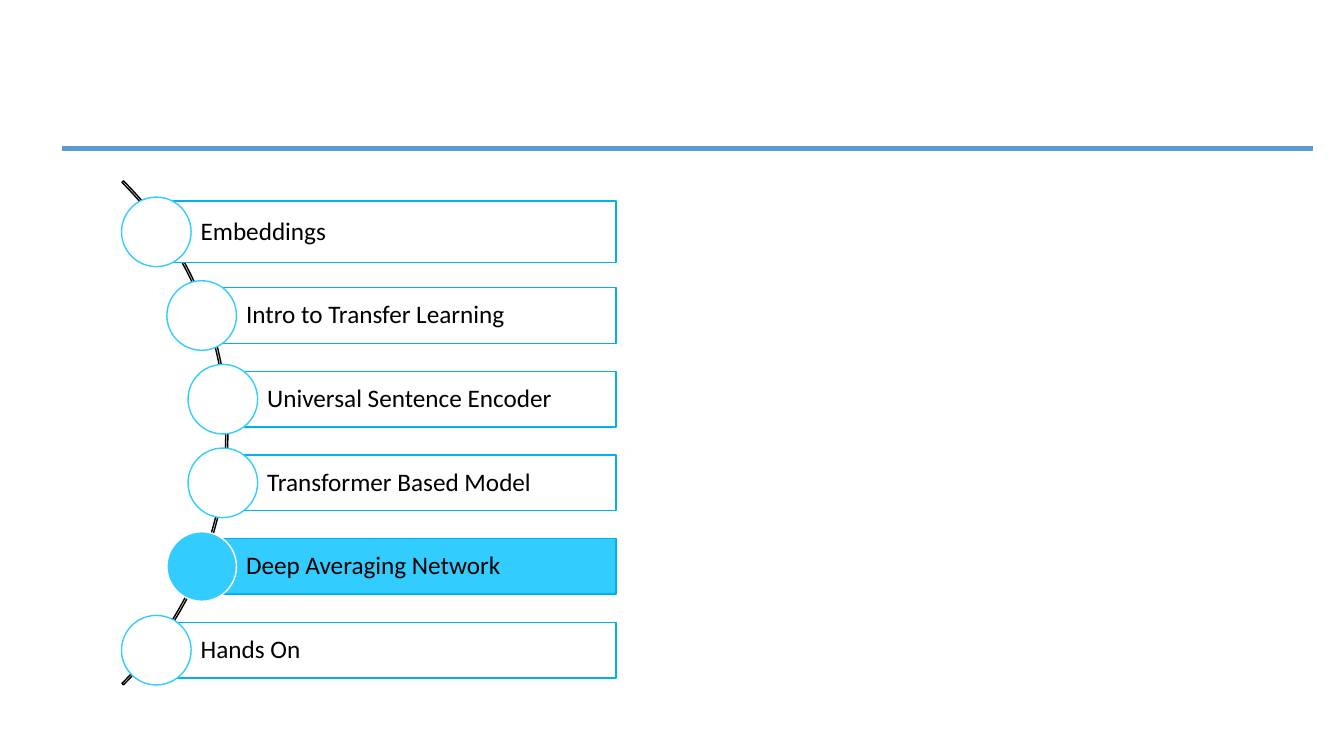
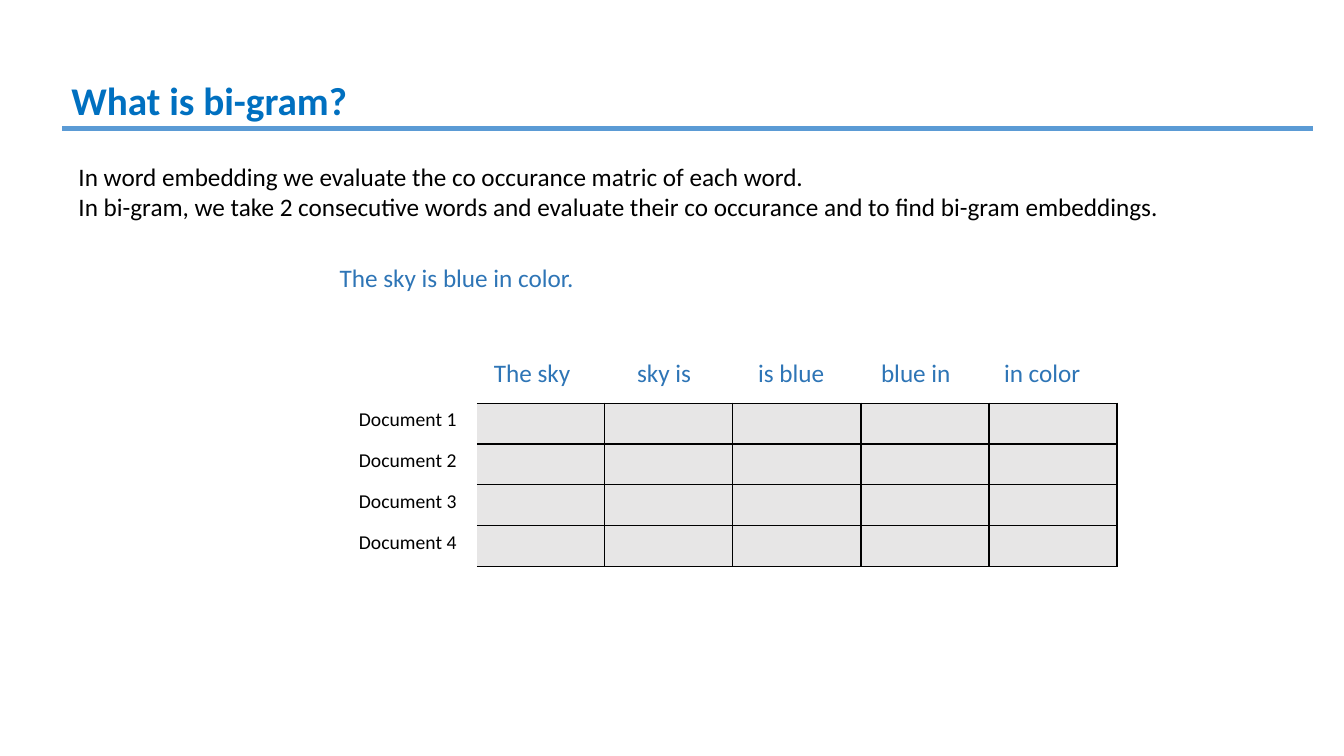
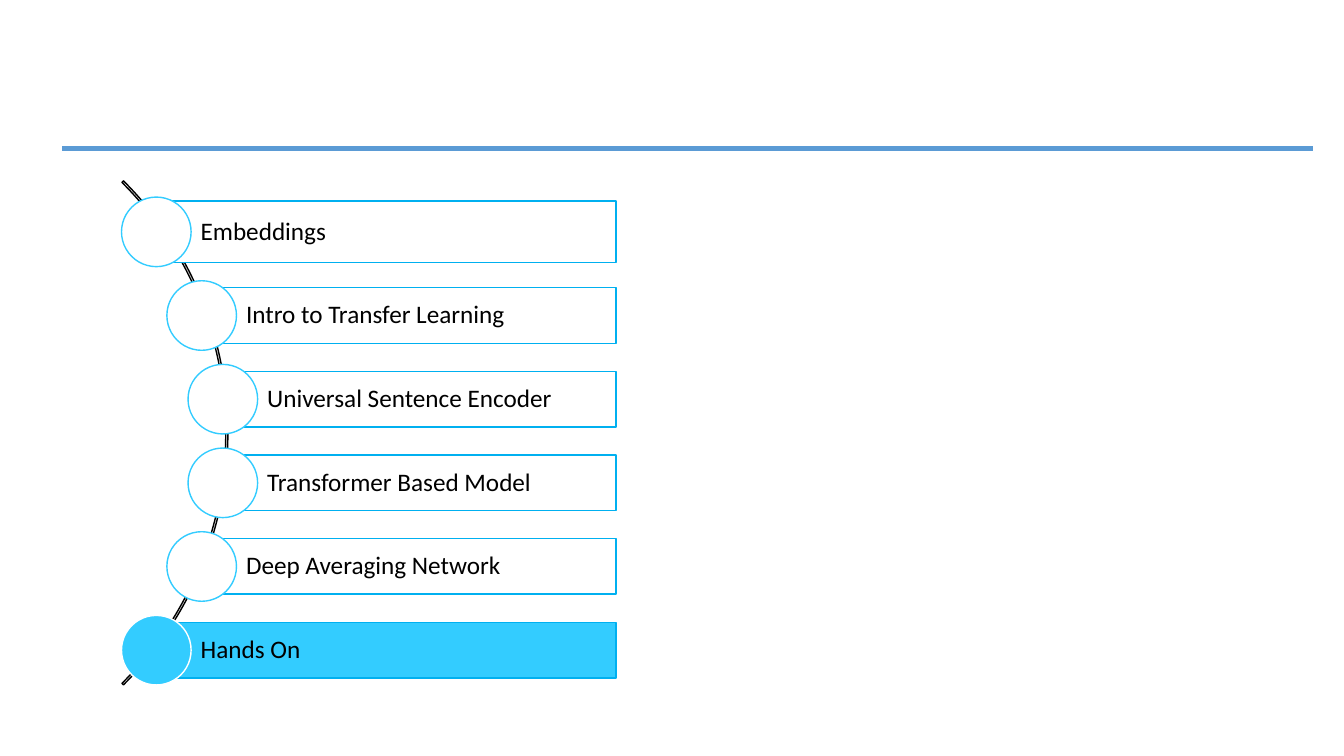
from lxml.etree import SubElement
from pptx import Presentation
from pptx.dml.color import RGBColor
from pptx.enum.shapes import MSO_SHAPE as Preset
from pptx.enum.text import MSO_ANCHOR as Anchor, MSO_AUTO_SIZE as AutoSize, PP_ALIGN as Align
from pptx.oxml.ns import qn
from pptx.util import Inches, Pt

COLORS = {
    "white": "FFFFFF", "black": "000000", "band": "5B9BD5", "title": "0070C0",
    "example": "2E75B6", "frame": "00B0F0", "active": "33CCFF", "cell": "E7E6E6",
}
FONT = "Calibri"
STYLES = {
    "title": {"size": 28, "bold": True, "color": "title"},
    "body": {"size": 18, "bold": False, "color": "black"},
    "example": {"size": 18, "bold": False, "color": "example"},
    "document": {"size": 14, "bold": False, "color": "black"},
}

TOPICS = [
    ("Embeddings", 1.55, 0.61),
    ("Intro to Transfer Learning", 2, 0.55),
    ("Universal Sentence Encoder", 2.21, 0.55),
    ("Transformer Based Model", 2.21, 0.55),
    ("Deep Averaging Network", 2, 0.55),
    ("Hands On", 1.55, 0.55),
]
FIRST_CENTER, TOPIC_PITCH, TOPIC_RIGHT, CIRCLE = 2.3, 0.83, 6.11, 0.69

BIGRAM_TITLE = "What is bi-gram?"
EXPLANATION = [
    "In word embedding we evaluate the co occurance matric of each word.",
    "In bi-gram, we take 2 consecutive words and evaluate their co occurance "
    "and to find bi-gram embeddings.",
]
SENTENCE = "The sky is blue in color."
BIGRAMS = [
    ("The sky", 4.8, 1.01), ("sky is", 6.22, 0.74), ("is blue", 7.42, 1.07),
    ("blue in", 8.64, 1.07), ("in color", 9.86, 1.07),
]
DOCUMENTS = ["Document 1", "Document 2", "Document 3", "Document 4"]


def rgb(name):
    return RGBColor.from_string(COLORS[name])


def write(frame, lines, style):
    for index, line in enumerate(lines):
        paragraph = frame.paragraphs[0] if index == 0 else frame.add_paragraph()
        paragraph.alignment = Align.LEFT
        run = paragraph.add_run()
        run.text = line
        formats = STYLES[style]
        values = {"name": FONT, "size": Pt(formats["size"]), "bold": formats["bold"]}
        for attribute, value in values.items():
            setattr(run.font, attribute, value)
        run.font.color.rgb = rgb(formats["color"])


def add_text(slide, lines, style, *box):
    frame = slide.shapes.add_textbox(*map(Inches, box)).text_frame
    frame.word_wrap = True
    frame.auto_size = AutoSize.SHAPE_TO_FIT_TEXT
    write(frame, lines, style)


def add_shape(slide, preset, box, fill, line):
    shape = slide.shapes.add_shape(preset, *map(Inches, box))
    shape.shadow.inherit = False
    if fill:
        shape.fill.solid()
        shape.fill.fore_color.rgb = rgb(fill)
    else:
        shape.fill.background()
    shape.line.color.rgb = rgb(line)
    shape.line.width = Pt(1)
    return shape


def new_slide(presentation, band_top):
    slide = presentation.slides.add_slide(presentation.slide_layouts[6])
    add_shape(slide, Preset.RECTANGLE, (0.61, band_top, 12.42, 0.07), "band", "white")
    return slide


def add_agenda(presentation, current):
    slide = new_slide(presentation, 1.44)
    arc = add_shape(slide, Preset.BLOCK_ARC, (-4.81, 0.76, 7.07, 7.07), None, "black")
    for index, value in enumerate((189, 27, 0.003)):
        arc.adjustments[index] = value
    for index, (topic, left, height) in enumerate(TOPICS):
        center = FIRST_CENTER + index * TOPIC_PITCH
        fill, outline = ("active", "white") if topic == current else ("white", "active")
        box = (left, center - height / 2, TOPIC_RIGHT - left, height)
        bar = add_shape(slide, Preset.RECTANGLE, box, fill, "frame")
        margins = {"margin_left": 0.44, "margin_top": 0.05,
                   "margin_right": 0.05, "margin_bottom": 0.05}
        for attribute, value in margins.items():
            setattr(bar.text_frame, attribute, Inches(value))
        bar.text_frame.vertical_anchor = Anchor.MIDDLE
        write(bar.text_frame, [topic], "body")
        bar.text_frame.paragraphs[0].line_spacing = 0.9
        circle = (left - CIRCLE / 2, center - CIRCLE / 2, CIRCLE, CIRCLE)
        add_shape(slide, Preset.OVAL, circle, fill, outline)


def set_borders(cell, visible):
    properties = cell._tc.get_or_add_tcPr()
    for side in "LRTB":
        line = SubElement(properties, qn(f"a:ln{side}"), w=str(Pt(1)))
        if side in visible:
            fill = SubElement(line, qn("a:solidFill"))
            SubElement(fill, qn("a:srgbClr"), val=COLORS["black"])
        else:
            SubElement(line, qn("a:noFill"))


def add_document_table(slide):
    rows, columns = len(DOCUMENTS), len(BIGRAMS) + 1
    box = map(Inches, (3.46, 4, 7.62, 1.62))
    table = slide.shapes.add_table(rows, columns, *box).table
    table.first_row = table.horz_banding = False
    for row, document in enumerate(DOCUMENTS):
        for column in range(columns):
            cell = table.cell(row, column)
            set_borders(cell, ("", "RTB")[column] if column < 2 else "LRTB")
            cell.fill.solid()
            cell.fill.fore_color.rgb = rgb("cell" if column else "white")
        write(table.cell(row, 0).text_frame, [document], "document")


def add_bigram_slide(presentation):
    slide = new_slide(presentation, 1.24)
    add_text(slide, [BIGRAM_TITLE], "title", 0.61, 0.71, 8.19, 0.57)
    add_text(slide, EXPLANATION, "body", 0.68, 1.55, 11.08, 0.71)
    add_text(slide, [SENTENCE], "example", 3.27, 2.55, 5.9, 0.4)
    for bigram, left, width in BIGRAMS:
        add_text(slide, [bigram], "example", left, 3.5, width, 0.4)
    add_document_table(slide)


def main():
    presentation = Presentation()
    presentation.slide_width = Inches(13.33)
    presentation.slide_height = Inches(7.5)
    add_agenda(presentation, "Deep Averaging Network")
    add_bigram_slide(presentation)
    add_agenda(presentation, "Hands On")
    presentation.save("out.pptx")


if __name__ == "__main__":
    main()
